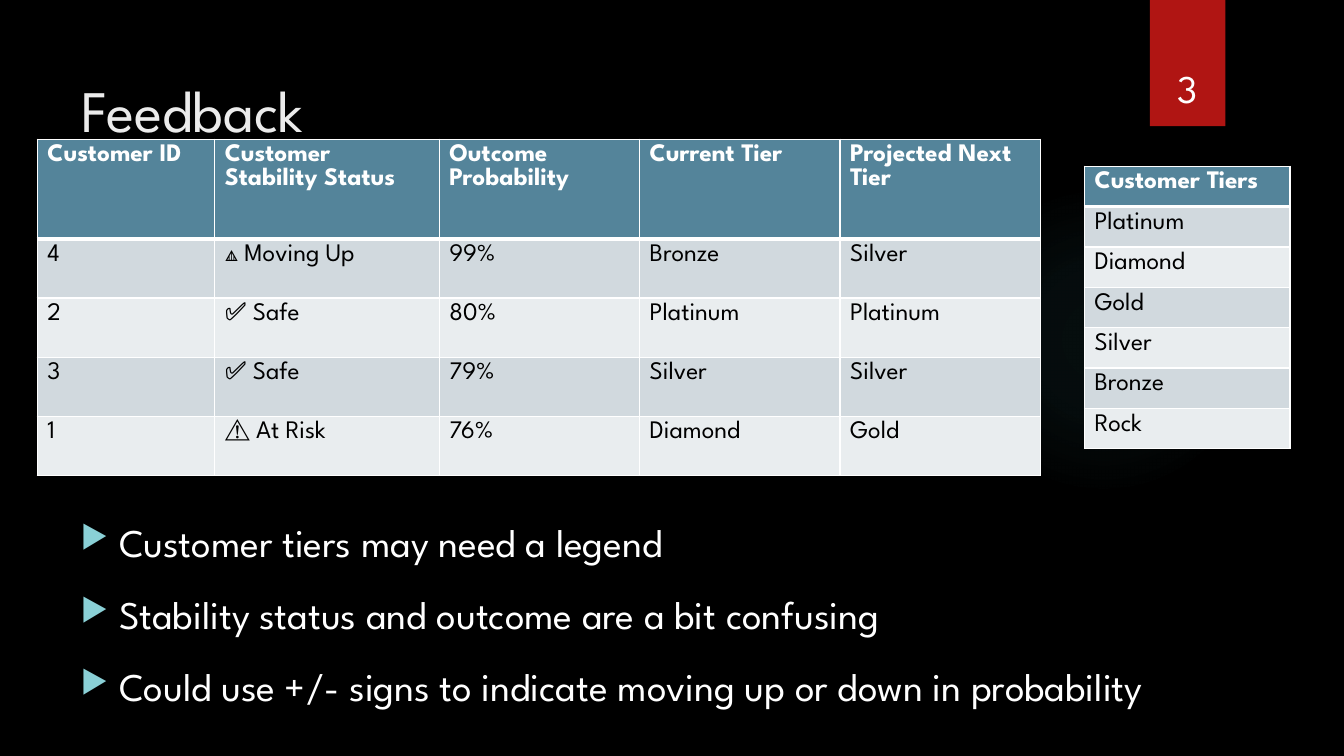
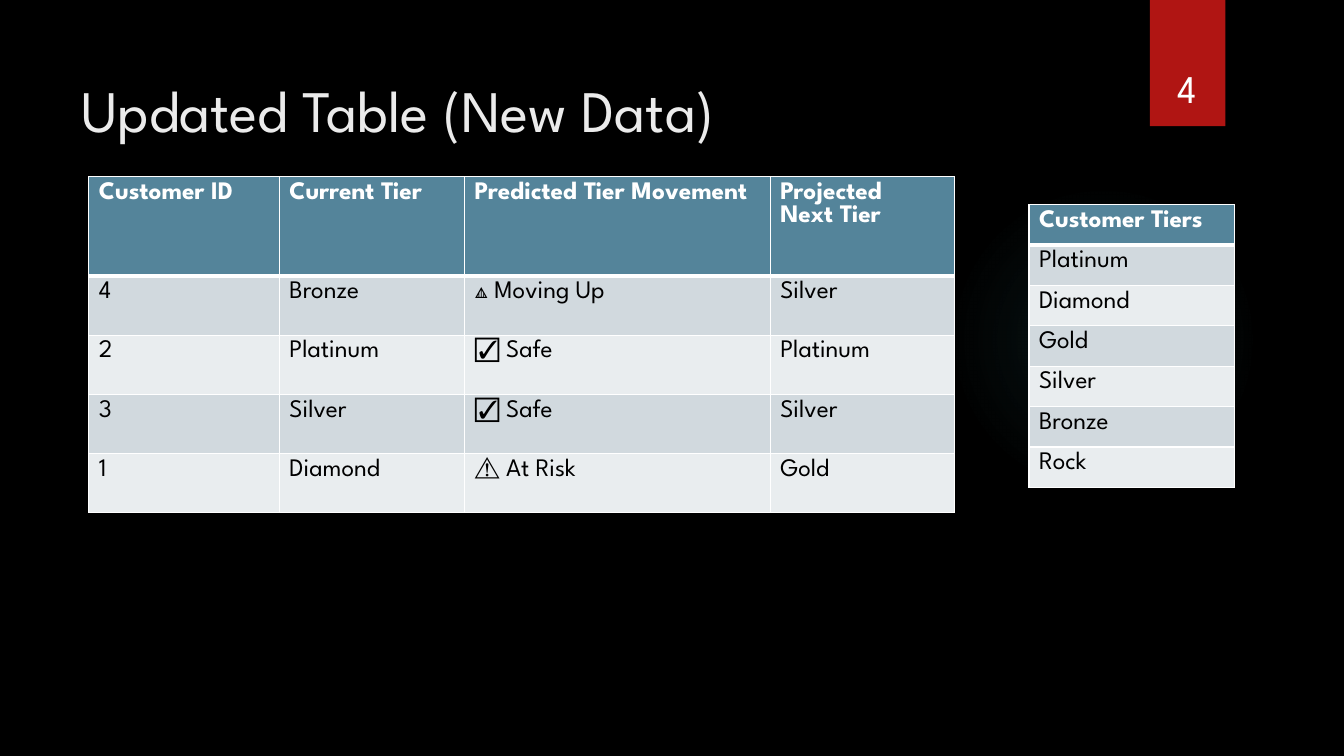
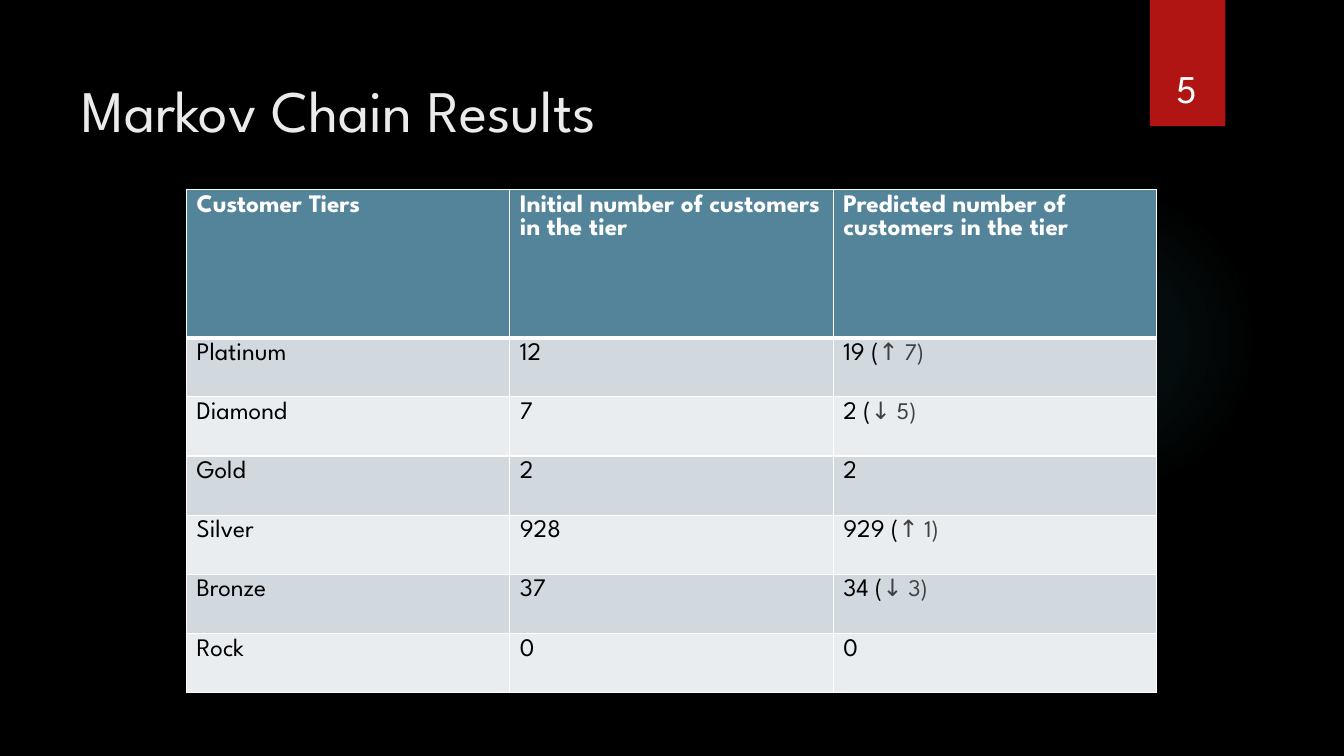
from lxml import etree
from pptx import Presentation
from pptx.dml.color import RGBColor
from pptx.enum.shapes import MSO_SHAPE
from pptx.enum.text import MSO_ANCHOR, PP_ALIGN
from pptx.oxml import parse_xml
from pptx.oxml.ns import qn
from pptx.util import Cm, Pt

OVAL, RECT = MSO_SHAPE.OVAL, MSO_SHAPE.RECTANGLE
TOP, BOTTOM = MSO_ANCHOR.TOP, MSO_ANCHOR.BOTTOM
LEFT, CENTER = PP_ALIGN.LEFT, PP_ALIGN.CENTER

FONT = "League Spartan"
COLORS = {
    "back": "000000", "glow": "50B9C1", "band": "B01513", "title": "EBEBEB",
    "light": "FFFFFF", "dark": "000000", "hint": "404040", "mark": "8AD0D6",
    "head": "54849A", "odd": "D1D9DE", "even": "E9EDEF",
}
NS = "http://schemas.openxmlformats.org/drawingml/2006/main"
TIERS = ["Platinum", "Diamond", "Gold", "Silver", "Bronze", "Rock"]
LEGEND = [["Customer Tiers"]] + [[tier] for tier in TIERS]


def color(name):
    return RGBColor.from_string(COLORS[name])


def style(font, size, name, bold=False):
    font.name = FONT
    font.size = Pt(size)
    font.bold = bold
    font.color.rgb = color(name)


def add_shape(slide, kind, left, top, width, height):
    shape = slide.shapes.add_shape(kind, Cm(left), Cm(top), Cm(width), Cm(height))
    shape.shadow.inherit = False
    shape.line.fill.background()
    return shape


def add_glow(slide):
    shape = add_shape(slide, OVAL, 23.9, 4.65, 7.82, 7.82)
    stops = "".join(
        f'<a:gs pos="{pos}000"><a:srgbClr val="{COLORS["glow"]}">'
        f'<a:alpha val="{alpha}000"/></a:srgbClr></a:gs>'
        for pos, alpha in [(0, 7), (36, 6), (69, 0), (100, 0)]
    )
    fill = parse_xml(
        f'<a:gradFill xmlns:a="{NS}"><a:gsLst>{stops}</a:gsLst><a:path path="circle">'
        '<a:fillToRect l="50000" t="50000" r="50000" b="50000"/></a:path></a:gradFill>'
    )
    shape._element.spPr.find(qn("a:prstGeom")).addnext(fill)


def add_band(slide):
    shape = add_shape(slide, RECT, 28.98, 0, 1.9, 3.18)
    shape.fill.solid()
    shape.fill.fore_color.rgb = color("band")


def add_text(slide, text, box, size, name, anchor=TOP, align=LEFT, inset=0.13):
    frame = slide.shapes.add_textbox(*map(Cm, box)).text_frame
    frame.word_wrap = True
    frame.vertical_anchor = anchor
    frame.margin_top = Cm(inset)
    frame.text = text
    for par in frame.paragraphs:
        par.alignment = align
        style(par.font, size, name)
    return frame


def add_bullets(slide, items, box):
    frame = add_text(slide, "\n".join(items), box, 28, "light", inset=0.48)
    for index, par in enumerate(frame.paragraphs):
        props = par._p.get_or_add_pPr()
        props.set("marL", str(Cm(0.97)))
        props.set("indent", str(Cm(-0.97)))
        marks = parse_xml(
            f'<a:pPr xmlns:a="{NS}"><a:buClr><a:srgbClr val="{COLORS["mark"]}"/></a:buClr>'
            '<a:buSzPct val="80000"/><a:buChar char="▶"/></a:pPr>'
        )
        for spot, mark in enumerate(list(marks)):
            props.insert(spot, mark)
        if index:
            par.space_before = Pt(18)


def add_edges(cell, top, bottom):
    props = cell._tc.get_or_add_tcPr()
    for side, width in zip("LRTB", (1, 1, top, bottom)):
        line = etree.SubElement(props, qn(f"a:ln{side}"), w=str(Pt(width)))
        fill = etree.SubElement(line, qn("a:solidFill"))
        etree.SubElement(fill, qn("a:srgbClr"), val=COLORS["light"])


def fill_cell(cell, text, row):
    add_edges(cell, 3 if row == 1 else 1, 3 if row == 0 else 1)
    cell.fill.solid()
    cell.fill.fore_color.rgb = color("head" if row == 0 else "odd" if row % 2 else "even")
    main, *hints = [text] if isinstance(text, str) else text
    cell.text = main
    for par in cell.text_frame.paragraphs:
        style(par.font, 18, "dark" if row else "light", row == 0)
    for hint in hints:
        run = par.add_run()
        run.text = hint
        run.font.size = Pt(17)
        run.font.color.rgb = color("hint")


def add_table(slide, rows, left, top, widths, head, body):
    height = head + body * (len(rows) - 1)
    table = slide.shapes.add_table(
        len(rows), len(widths), Cm(left), Cm(top), Cm(sum(widths)), Cm(height)
    ).table
    for col, width in zip(table.columns, widths):
        col.width = Cm(width)
    for index, texts in enumerate(rows):
        table.rows[index].height = Cm(body if index else head)
        for col, text in enumerate(texts):
            fill_cell(table.cell(index, col), text, index)


def add_legend(slide, left, top):
    add_table(slide, LEGEND, left, top, [5.18], 1, 1)


def add_slide(deck, title, number):
    slide = deck.slides.add_slide(deck.slide_layouts[6])
    add_glow(slide)
    add_band(slide)
    add_text(slide, title, (1.8, 1.27, 26.14, 3.89), 42, "title", inset=0.58)
    add_text(slide, str(number), (28.75, 0.81, 2.34, 2.13), 28, "light", BOTTOM, CENTER)
    return slide


def add_feedback(deck):
    slide = add_slide(deck, "Feedback", 3)
    add_bullets(slide, [
        "Customer tiers may need a legend",
        "Stability status and outcome are a bit confusing",
        "Could use +/- signs to indicate moving up or down in probability",
    ], (1.78, 12.57, 31.04, 6.4))
    add_table(slide, [
        ["Customer ID", "Customer Stability Status", "Outcome Probability",
         "Current Tier", "Projected Next Tier"],
        ["4", "🔼 Moving Up", "99%", "Bronze", "Silver"],
        ["2", "✅ Safe", "80%", "Platinum", "Platinum"],
        ["3", "✅ Safe", "79%", "Silver", "Silver"],
        ["1", "⚠️ At Risk", "76%", "Diamond", "Gold"],
    ], 0.94, 3.51, [4.47, 5.66, 5.05, 5.05, 5.05], 2.51, 1.49)
    add_legend(slide, 27.33, 4.19)


def add_update(deck):
    slide = add_slide(deck, "Updated Table (New Data)", 4)
    add_table(slide, [
        ["Customer ID", "Current Tier", "Predicted Tier Movement", "Projected\nNext Tier"],
        ["4", "Bronze", "🔼 Moving Up", "Silver"],
        ["2", "Platinum", "☑️ Safe", "Platinum"],
        ["3", "Silver", "☑️ Safe", "Silver"],
        ["1", "Diamond", "⚠️ At Risk", "Gold"],
    ], 2.24, 4.45, [4.8, 4.67, 7.7, 4.65], 2.51, 1.49)
    add_legend(slide, 25.93, 5.16)


def add_results(deck):
    slide = add_slide(deck, "Markov Chain Results", 5)
    first = ["12", "7", "2", "928", "37", "0"]
    later = [("19 (", "↑ 7)"), ("2 (", "↓ 5)"), "2", ("929 (", "↑ 1)"), ("34 (", "↓ 3)"), "0"]
    heads = ("Customer Tiers", "Initial number of customers in the tier",
             "Predicted number of customers in the tier")
    add_table(slide, [heads, *zip(TIERS, first, later)], 4.7, 4.78, [8.15] * 3, 3.73, 1.49)


def main():
    deck = Presentation()
    deck.slide_width, deck.slide_height = Cm(33.87), Cm(19.05)
    back = deck.slide_master.background.fill
    back.solid()
    back.fore_color.rgb = color("back")
    add_feedback(deck)
    add_update(deck)
    add_results(deck)
    deck.save("out.pptx")


if __name__ == "__main__":
    main()
